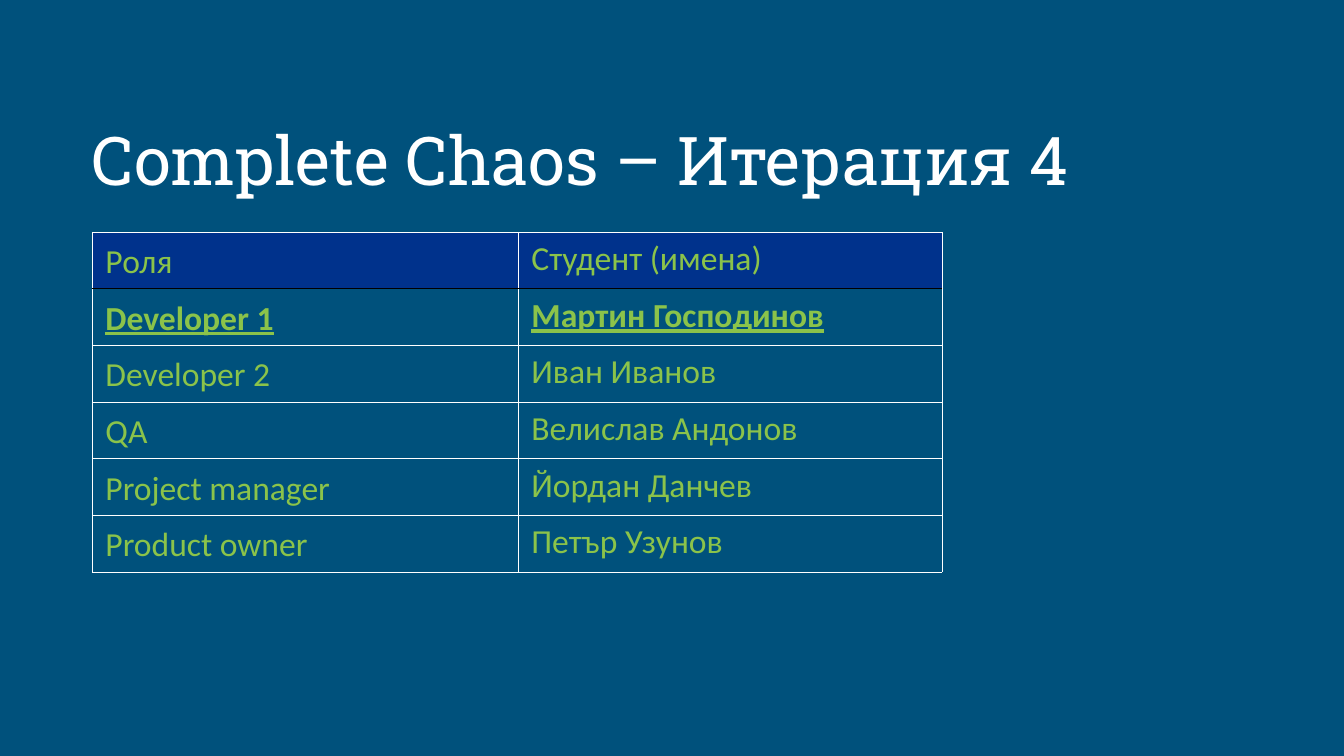
"""Build the team roles slide for iteration 4."""
from lxml.etree import SubElement
from pptx import Presentation
from pptx.dml.color import RGBColor
from pptx.oxml.ns import qn
from pptx.util import Pt

SCALE = 914400 / 134.4
COLORS = {"background": "00517C", "header": "00328C", "text": "8BC34A",
          "white": "FFFFFF", "black": "000000"}
MEMBERS = [
    ("Роля", "Студент (имена)"),
    ("Developer 1", "Мартин Господинов"),
    ("Developer 2", "Иван Иванов"),
    ("QA", "Велислав Андонов"),
    ("Project manager", "Йордан Данчев"),
    ("Product owner", "Петър Узунов"),
]
COLUMN_WIDTHS = [426, 424]
ROW_HEIGHT = 51
HIGHLIGHTED_ROW = 1


def px(*lengths):
    return [round(length * SCALE) for length in lengths]


def add_run(paragraph, text, font_name, size, color):
    run = paragraph.add_run()
    run.text = text
    run.font.name = font_name
    run.font.size = Pt(size)
    run.font.color.rgb = RGBColor.from_string(COLORS[color])
    return run


presentation = Presentation()
presentation.slide_width, presentation.slide_height = px(1344, 756)
slide = presentation.slides.add_slide(presentation.slide_layouts[6])
slide.background.fill.solid()
slide.background.fill.fore_color.rgb = RGBColor.from_string(COLORS["background"])

title = slide.shapes.add_textbox(*px(79, 105, 1015, 145)).text_frame
title.word_wrap = True
title.margin_left, title.margin_top, title.margin_right, title.margin_bottom = px(13, 13, 13, 13)
title.paragraphs[0].space_after = Pt(16)
add_run(title.paragraphs[0], "Complete Chaos – Итерация 4", "Roboto Slab", 36, "white")

table_box = px(92, 232, sum(COLUMN_WIDTHS), ROW_HEIGHT * len(MEMBERS))
table = slide.shapes.add_table(len(MEMBERS), len(COLUMN_WIDTHS), *table_box).table
for column, width in zip(table.columns, COLUMN_WIDTHS):
    column.width = px(width)[0]

for row_index, member in enumerate(MEMBERS):
    table.rows[row_index].height = px(ROW_HEIGHT)[0]
    for column_index, text in enumerate(member):
        cell = table.cell(row_index, column_index)
        properties = cell._tc.get_or_add_tcPr()
        for side in ("lnL", "lnR", "lnT", "lnB"):
            under_header = (row_index, side) in [(0, "lnB"), (1, "lnT")]
            width, color = (Pt(1), "black") if under_header else (Pt(0.06), "white")
            line = SubElement(properties, qn(f"a:{side}"), w=str(width))
            line_fill = SubElement(line, qn("a:solidFill"))
            SubElement(line_fill, qn("a:srgbClr"), val=COLORS[color])
        cell.fill.solid()
        fill_color = COLORS["background" if row_index else "header"]
        cell.fill.fore_color.rgb = RGBColor.from_string(fill_color)

        paragraph = cell.text_frame.paragraphs[0]
        if column_index == 0:
            paragraph.line_spacing = 1.07
            paragraph.space_after = Pt(4.5)
        run = add_run(paragraph, text, "Calibri", 18, "text")
        run.font.bold = run.font.underline = row_index == HIGHLIGHTED_ROW

presentation.save("out.pptx")
